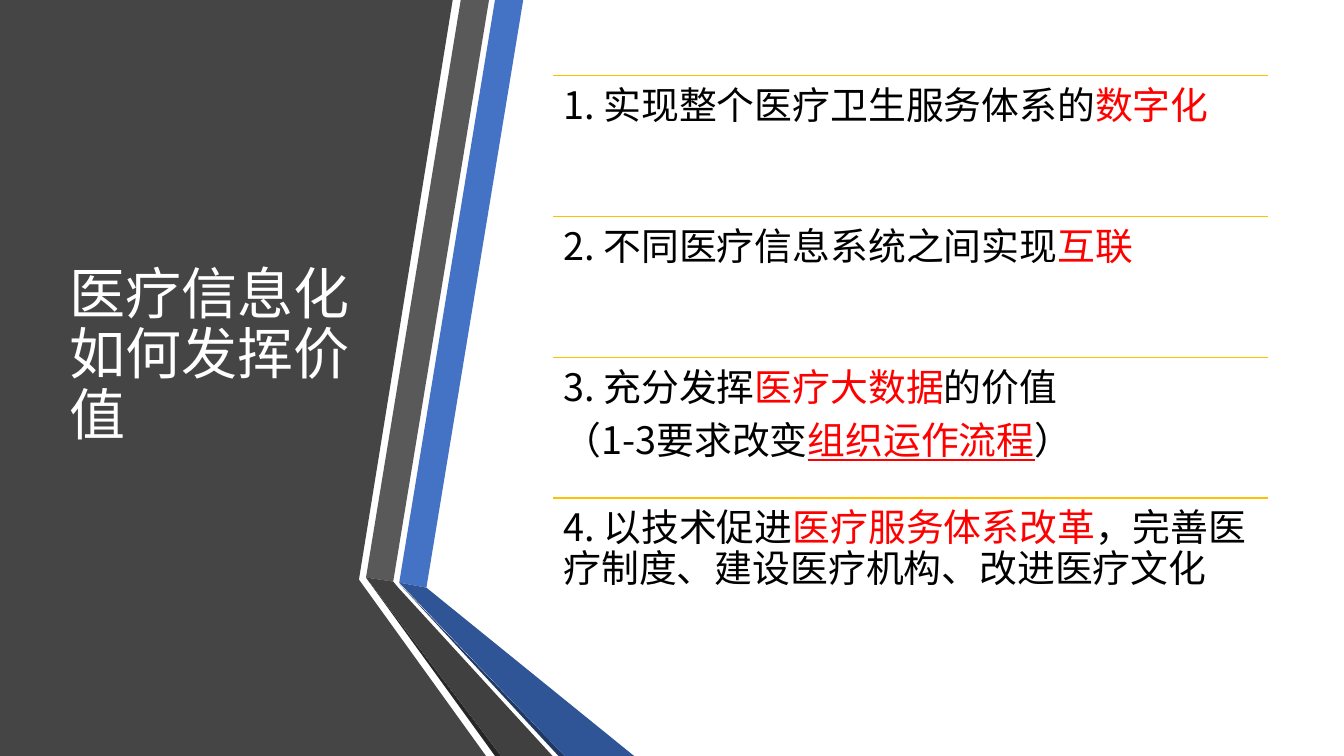
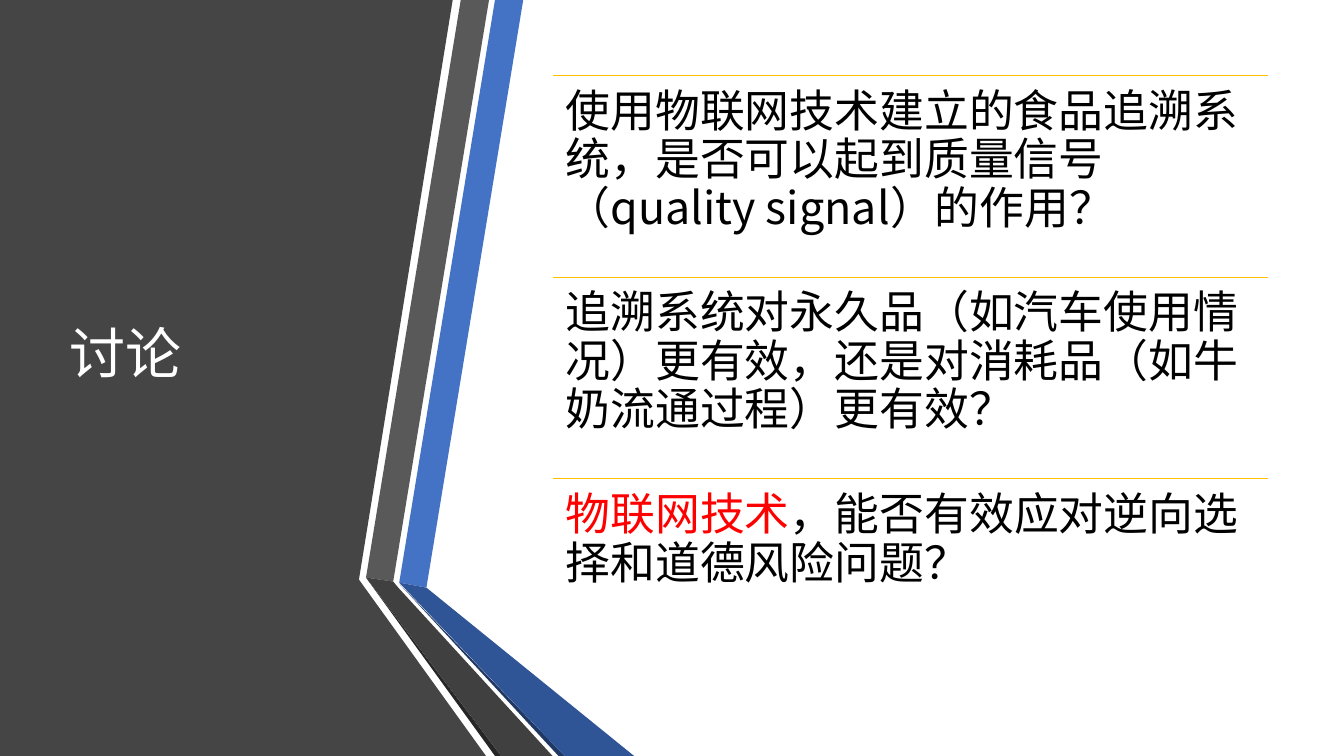
from lxml import etree
from pptx import Presentation
from pptx.dml.color import RGBColor
from pptx.enum.shapes import MSO_CONNECTOR
from pptx.enum.text import MSO_ANCHOR, MSO_AUTO_SIZE, PP_ALIGN
from pptx.oxml.ns import qn
from pptx.util import Inches, Pt

LINE = MSO_CONNECTOR.STRAIGHT
MIDDLE, TOP = MSO_ANCHOR.MIDDLE, MSO_ANCHOR.TOP
LEFT = PP_ALIGN.LEFT
NO_FIT = MSO_AUTO_SIZE.NONE
FACE = "Noto Sans CJK SC"

HEX = {
    "panel": "454545", "blue": "4472C4", "gray": "595959",
    "shade": "262626", "navy": "203864", "deep": "2F5597",
    "dark": "404040", "rule": "FFC000", "white": "FFFFFF",
    "black": "000000", "red": "FF0000",
}

BANDS = [
    ("panel", [(0, 0), (4.49, 0), (3.56, 5.75), (4.82, 7.5), (0, 7.5)]),
    ("blue", [(3.96, 5.78), (4.23, 5.83), (5.19, 0), (4.91, 0)]),
    ("gray", [(4.85, 0), (4.57, 0), (3.63, 5.73), (3.9, 5.77)]),
    ("shade", [(3.63, 5.73), (4.91, 7.5), (4.97, 7.5)]),
    ("navy", [(3.96, 5.79), (5.54, 7.5), (5.6, 7.5)]),
    ("deep", [(3.96, 5.78), (5.6, 7.5), (6.29, 7.5), (4.23, 5.83)]),
    ("dark", [(5.48, 7.5), (3.95, 5.83), (3.9, 5.77), (3.63, 5.73),
              (4.97, 7.5)]),
]

SLIDES = [
    {
        "title": "医疗信息化如何发挥价值",
        "size": 27, "inset": 0.11,
        "rows": [
            [[("1. 实现整个医疗卫生服务体系的", ""), ("数字化", "red")]],
            [[("2. 不同医疗信息系统之间实现", ""), ("互联", "red")]],
            [[("3. 充分发挥", ""), ("医疗大数据", "red"), ("的价值", "")],
             [("（1-3要求改变", ""), ("组织运作流程", "red under"), ("）", "")]],
            [[("4. 以技术促进", ""), ("医疗服务体系改革", "red"),
              ("，完善医疗制度、建设医疗机构、改进医疗文化", "")]],
        ],
    },
    {
        "title": "讨论",
        "size": 32, "inset": 0.13,
        "rows": [
            [[("使用物联网技术建立的食品追溯系统，是否可以起到质量信号"
               "（quality signal）的作用？", "")]],
            [[("追溯系统对永久品（如汽车使用情况）更有效，还是对消耗品"
               "（如牛奶流通过程）更有效？", "")]],
            [[("物联网技术", "red"),
              ("，能否有效应对逆向选择和道德风险问题？", "")]],
        ],
    },
]

BODY = {"left": 5.48, "top": 0.75, "width": 7.1, "height": 5.59}
HEAD = {"left": 0.59, "top": 0.75, "width": 3.04, "height": 5.58}


def apply(item, style):
    for key, value in style.items():
        setattr(item, key, value)


def color(name):
    return RGBColor.from_string(HEX[name])


def add_run(para, text, size, tone, under=False):
    run = para.add_run()
    run.text = text
    apply(run.font, {"size": Pt(size), "name": FACE, "bold": False})
    if under:
        run.font.underline = True
    run.font.color.rgb = color(tone)
    east = etree.SubElement(run.font._element, qn("a:ea"))
    east.set("typeface", FACE)


def add_bands(slide):
    for tone, points in BANDS:
        spots = [(Inches(x), Inches(y)) for x, y in points]
        pen = slide.shapes.build_freeform(*spots[0], scale=1.0)
        pen.add_line_segments(spots[1:], close=True)
        band = pen.convert_to_shape()
        band.shadow.inherit = False
        band.fill.solid()
        band.fill.fore_color.rgb = color(tone)
        band.line.fill.background()


def add_title(slide, text):
    title = slide.shapes.title
    title.element.getparent().append(title.element)
    apply(title, {key: Inches(value) for key, value in HEAD.items()})
    frame = title.text_frame
    apply(frame, {"word_wrap": True, "auto_size": NO_FIT,
                  "vertical_anchor": MIDDLE})
    para = frame.paragraphs[0]
    apply(para, {"alignment": LEFT, "line_spacing": 0.9})
    add_run(para, text, 40, "white")


def add_rule(slide, top):
    left, right = BODY["left"], BODY["left"] + BODY["width"]
    rule = slide.shapes.add_connector(
        LINE, Inches(left), Inches(top), Inches(right), Inches(top))
    rule.line.color.rgb = color("rule")
    rule.line.width = Pt(1)
    etree.SubElement(rule.element.spPr, qn("a:effectLst"))


def add_row(slide, paras, top, height, size, inset):
    box = slide.shapes.add_textbox(
        Inches(BODY["left"]), Inches(top),
        Inches(BODY["width"]), Inches(height))
    frame = box.text_frame
    apply(frame, {"word_wrap": True, "auto_size": NO_FIT,
                  "vertical_anchor": TOP})
    sides = ("left", "top", "right", "bottom")
    apply(frame, {f"margin_{side}": Inches(inset) for side in sides})
    for index, parts in enumerate(paras):
        para = frame.add_paragraph() if index else frame.paragraphs[0]
        apply(para, {"alignment": LEFT, "line_spacing": 0.9,
                     "space_after": Pt(round(size * 0.35))})
        for text, mark in parts:
            tone = "red" if "red" in mark else "black"
            add_run(para, text, size, tone, "under" in mark)


def add_slide(deck, data):
    slide = deck.slides.add_slide(deck.slide_layouts[5])
    add_bands(slide)
    add_title(slide, data["title"])
    rows = data["rows"]
    step = BODY["height"] / len(rows)
    if len(rows) == 3:
        step = 2
    for index, paras in enumerate(rows):
        top = BODY["top"] + index * step
        add_rule(slide, top)
        add_row(slide, paras, top, step, data["size"], data["inset"])


def main():
    deck = Presentation()
    apply(deck, {"slide_width": Inches(13.33), "slide_height": Inches(7.5)})
    for data in SLIDES:
        add_slide(deck, data)
    deck.save("out.pptx")


if __name__ == "__main__":
    main()
